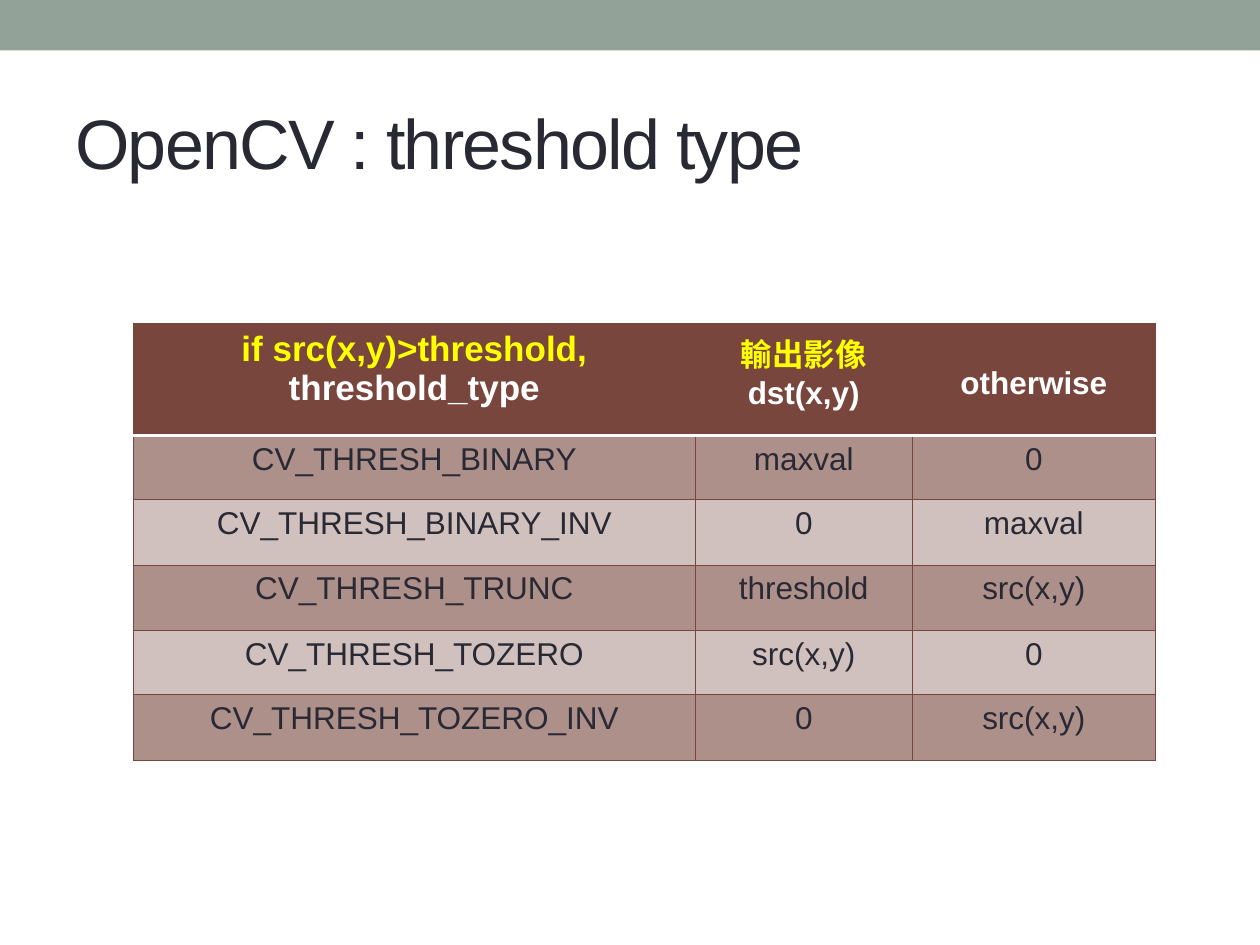
from dataclasses import dataclass

from lxml.etree import SubElement
from pptx import Presentation
from pptx.dml.color import RGBColor as Color
from pptx.enum.shapes import MSO_SHAPE as Shape
from pptx.enum.text import MSO_ANCHOR as Anchor, PP_ALIGN as Align
from pptx.oxml.ns import qn
from pptx.util import Pt


@dataclass(frozen=True)
class Theme:
    """Colours, font and type sizes of the slide."""
    font: str = "Arial"
    bar: str = "93A299"
    ink: str = "292934"
    brown: str = "79463D"
    band_dark: str = "AE908B"
    band_light: str = "D0C1BE"
    accent: str = "FFFF00"
    white: str = "FFFFFF"
    title_size: int = 40
    lead_size: int = 20
    table_size: int = 18


THEME = Theme()
COLUMN_WIDTHS = (321, 124, 139)
ROW_HEIGHTS = (64, 36.5, 37.5, 37.5, 36.5, 37.5)
HEADER = (
    (("if src(x,y)>threshold,", THEME.accent), ("threshold_type", THEME.white)),
    (("輸出影像", THEME.accent), ("dst(x,y)", THEME.white)),
    (("otherwise", THEME.white),),
)
BODY = (
    ("CV_THRESH_BINARY", "maxval", "0"),
    ("CV_THRESH_BINARY_INV", "0", "maxval"),
    ("CV_THRESH_TRUNC", "threshold", "src(x,y)"),
    ("CV_THRESH_TOZERO", "src(x,y)", "0"),
    ("CV_THRESH_TOZERO_INV", "0", "src(x,y)"),
)


def style_run(run, size, color, bold=False):
    """Give a run the theme font with a size, colour and weight."""
    run.font.name = THEME.font
    run.font.size = Pt(size)
    run.font.bold = bold
    run.font.color.rgb = Color.from_string(color)


def add_top_bar(slide, left, top, width, height):
    """Draw the band along the top of the slide."""
    bar = slide.shapes.add_shape(Shape.RECTANGLE, Pt(left), Pt(top), Pt(width), Pt(height))
    bar.shadow.inherit = False
    bar.fill.solid()
    bar.fill.fore_color.rgb = Color.from_string(THEME.bar)
    bar.line.fill.background()


def add_title(slide, text, left, top, width, height):
    """Place the slide title, centred vertically in its box."""
    box = slide.shapes.add_textbox(Pt(left), Pt(top), Pt(width), Pt(height))
    text_frame = box.text_frame
    text_frame.word_wrap = True
    text_frame.vertical_anchor = Anchor.MIDDLE
    text_frame.text = text
    run = text_frame.paragraphs[0].runs[0]
    style_run(run, THEME.title_size, THEME.ink)
    run.font._element.set("spc", "-100")


def set_borders(cell, **edges):
    """Draw the four cell edges, each given as a colour and a width."""
    properties = cell._tc.get_or_add_tcPr()
    for side in "LRTB":
        color, width = edges.get(side, (THEME.brown, 0.75))
        line = SubElement(properties, qn(f"a:ln{side}"), w=str(Pt(width)))
        fill = SubElement(line, qn("a:solidFill"))
        SubElement(fill, qn("a:srgbClr"), val=color)


def fill_cell(cell, lines, size, fill, bold=False):
    """Write centred lines of text and colour in a cell."""
    cell.fill.solid()
    cell.fill.fore_color.rgb = Color.from_string(fill)
    cell.text_frame.text = "\n".join(text for text, _ in lines)
    for paragraph, (_, color) in zip(cell.text_frame.paragraphs, lines):
        paragraph.alignment = Align.CENTER
        style_run(paragraph.runs[0], size, color, bold)


def add_threshold_table(slide, left, top):
    """Build the table of threshold types with its top left corner given."""
    frame = slide.shapes.add_table(
        len(ROW_HEIGHTS), len(COLUMN_WIDTHS), Pt(left), Pt(top),
        Pt(sum(COLUMN_WIDTHS)), Pt(sum(ROW_HEIGHTS)))
    table = frame.table
    table.first_row = table.horz_banding = False
    for column, width in zip(table.columns, COLUMN_WIDTHS):
        column.width = Pt(width)
    for row, height in zip(table.rows, ROW_HEIGHTS):
        row.height = Pt(height)

    divider = (THEME.white, 2)
    for index, lines in enumerate(HEADER):
        cell = table.cell(0, index)
        set_borders(cell, B=divider)
        size = THEME.lead_size if index == 0 else THEME.table_size
        fill_cell(cell, lines, size, THEME.brown, bold=True)
    table.cell(0, len(HEADER) - 1).margin_top = Pt(24.3)

    for row_index, values in enumerate(BODY, start=1):
        band = THEME.band_dark if row_index % 2 else THEME.band_light
        edges = {"T": divider} if row_index == 1 else {}
        for column_index, value in enumerate(values):
            cell = table.cell(row_index, column_index)
            set_borders(cell, **edges)
            fill_cell(cell, ((value, THEME.ink),), THEME.table_size, band)


def main():
    """Build the slide and save it."""
    presentation = Presentation()
    presentation.slide_width = Pt(720)
    presentation.slide_height = Pt(540)
    slide = presentation.slides.add_slide(presentation.slide_layouts[6])
    add_top_bar(slide, 0, 0, 720, 28.8)
    add_title(slide, "OpenCV : threshold type", 36, 42, 648, 78)
    add_threshold_table(slide, 76.3, 185)
    presentation.save("out.pptx")


if __name__ == "__main__":
    main()
